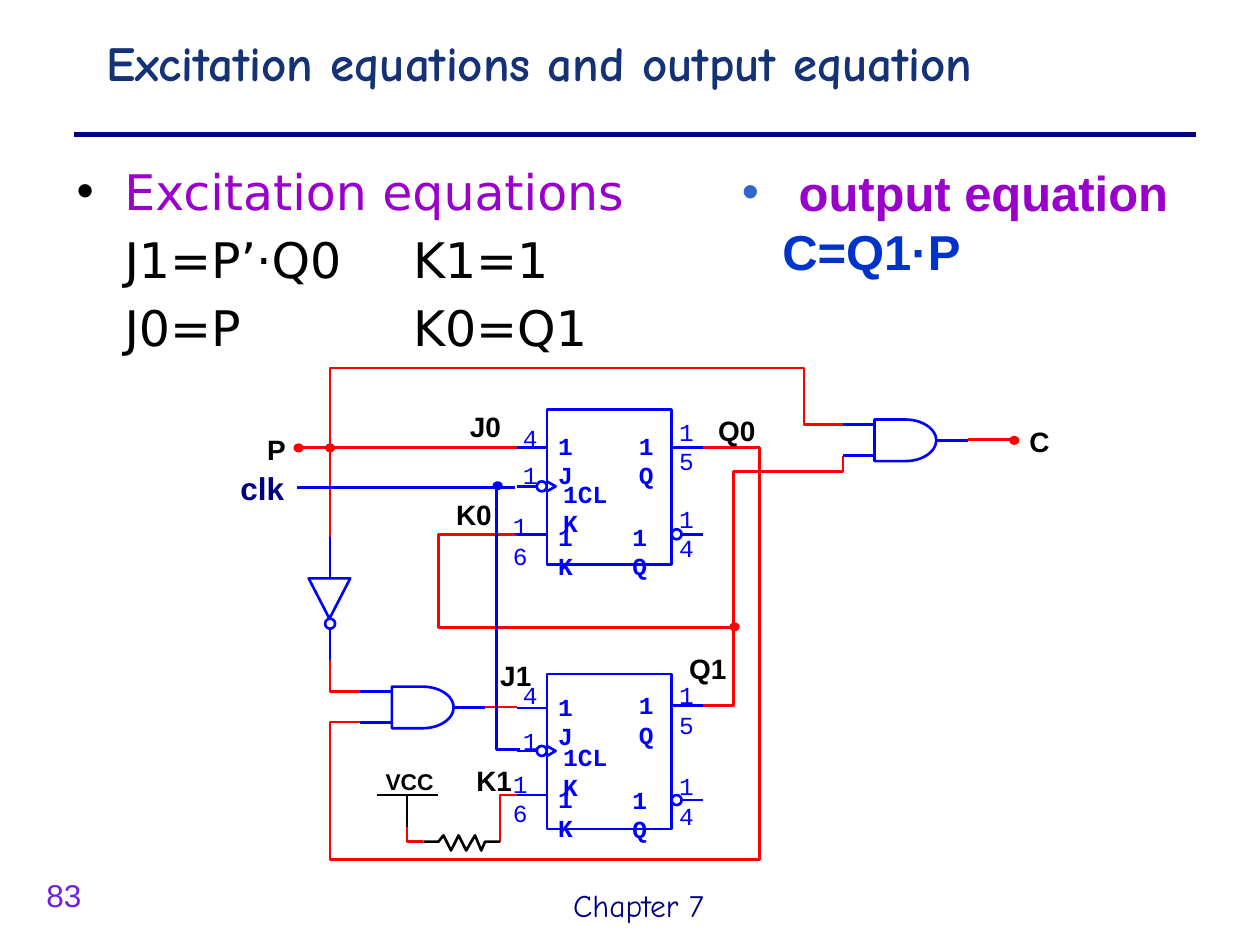
from typing import NamedTuple

from lxml import etree
from pptx import Presentation
from pptx.dml.color import RGBColor
from pptx.enum.shapes import MSO_CONNECTOR, MSO_SHAPE
from pptx.oxml.ns import qn
from pptx.util import Inches, Pt

RECT, OVAL = MSO_SHAPE.RECTANGLE, MSO_SHAPE.OVAL
DELAY, MERGE = MSO_SHAPE.FLOWCHART_DELAY, MSO_SHAPE.FLOWCHART_MERGE
STRAIGHT = MSO_CONNECTOR.STRAIGHT
RED, BLUE, CLOCK, NAVY = "FF0000", "0000FF", "0000F2", "000080"
BLACK, WHITE, PURPLE = "000000", "FFFFFF", "9900CC"

# The slide is a grid of 100 columns by 75 rows
COLS, ROWS = 100, 75
CELL = Inches(10) // COLS

deck = Presentation()
deck.slide_width, deck.slide_height = COLS * CELL, ROWS * CELL
slide = deck.slides.add_slide(deck.slide_layouts[6])
shapes = slide.shapes


class Label(NamedTuple):
    text: str
    col: float
    row: float
    wide: float


class Slot(NamedTuple):
    """Columns shared by one pin of every flip-flop."""
    name: str
    num: str
    name_col: float
    num_col: float
    start: float
    end: float


class Pin(NamedTuple):
    """Rows of one pin: wire, name and number."""
    row: float
    name_row: float
    num_row: float


class Flip(NamedTuple):
    top: float
    pins: list[Pin]


def tint(code: str) -> RGBColor:
    return RGBColor.from_string(code)


def at(*cells: float) -> list[int]:
    return [round(c * CELL) for c in cells]


def write(para, text: str, size: float, face: str, color: str, bold=False):
    run = para.add_run()
    run.text = text
    look = {"size": Pt(size), "name": face, "bold": bold}
    for key, val in look.items():
        setattr(run.font, key, val)
    run.font.color.rgb = tint(color)


def frame(col, row, wide, high, wrap=True, inset=True):
    body = shapes.add_textbox(*at(col, row, wide, high)).text_frame
    body.word_wrap = wrap
    if not inset:
        for side in ("left", "right", "top", "bottom"):
            setattr(body, f"margin_{side}", 0)
    return body


def note(lab: Label, high, size, face, color, bold=False, wrap=True, inset=True):
    body = frame(lab.col, lab.row, lab.wide, high, wrap, inset)
    write(body.paragraphs[0], lab.text, size, face, color, bold)


def indent(para, left: float, first=0.0, bullet=""):
    """Set margins in inches, and a bullet of the given colour."""
    props = para._p.get_or_add_pPr()
    props.set("marL", str(Inches(left)))
    props.set("indent", str(Inches(first)))
    if bullet:
        shade = etree.SubElement(props, qn("a:buClr"))
        etree.SubElement(shade, qn("a:srgbClr"), val=bullet)
        etree.SubElement(props, qn("a:buFont"), typeface="Arial")
        etree.SubElement(props, qn("a:buChar"), char="•")


def style(item, color: str, fill=""):
    item.shadow.inherit = False
    item.line.color.rgb, item.line.width = tint(color), Pt(1.5)
    if fill:
        item.fill.solid()
        item.fill.fore_color.rgb = tint(fill)
    else:
        item.fill.background()


def block(kind, col, row, wide, high, color=BLUE, fill=""):
    item = shapes.add_shape(kind, *at(col, row, wide, high))
    style(item, color, fill)
    return item


def dot(col: float, row: float, color=RED):
    block(OVAL, col - 0.3, row - 0.25, 0.6, 0.5, color, color)


def wire(color: str, *pts: tuple[float, float], width=1.5):
    """Draw a straight connector, or an open outline through more points."""
    if len(pts) > 2:
        start, *rest = [at(*pt) for pt in pts]
        pen = shapes.build_freeform(*start)
        pen.add_line_segments(rest, close=False)
        item = pen.convert_to_shape()
        style(item, color)
        return item
    item = shapes.add_connector(STRAIGHT, *at(*pts[0], *pts[1]))
    item.line.color.rgb, item.line.width = tint(color), Pt(width)
    etree.SubElement(item._element.spPr, qn("a:effectLst"))
    return item


def gate(col: float, row: float):
    """AND gate with two inputs and one output."""
    body = block(DELAY, col, row, 4.9, 3.3)
    for lead in (0.4, 2.85):
        wire(BLUE, (col, row + lead), (col - 2.5, row + lead))
    out = wire(BLUE, (col + 4.9, row + 1.65), (col + 7.4, row + 1.65))
    out.begin_connect(body, 3)


SLOTS = [
    Slot("1J", "4", 44.3, 41.5, 43.4, 41),
    Slot("1CLK", "1", 44.7, 41.5, 42.6, 41),
    Slot("1K", "16", 44.3, 40.7, 43.4, 41),
    Slot("1Q", "15", 50.7, 53.9, 53.3, 55.8),
    Slot("1Q", "14", 50.2, 53.9, 53.3, 55.8),
]
FLIPS = [
    Flip(32.5, [Pin(35.5, 34.2, 33.6), Pin(38.6, 38, 36.5), Pin(42.4, 41.4, 40.6),
                Pin(35.5, 34.2, 33.1), Pin(42.4, 41.4, 40)]),
    Flip(53.5, [Pin(56.2, 54.9, 54), Pin(59.6, 58.9, 57.6), Pin(63.1, 62.2, 61),
                Pin(56, 54.8, 54), Pin(63.5, 62.3, 61.2)]),
]


def draw(flip: Flip):
    block(RECT, 43.4, flip.top, 9.9, 12.3)
    for slot, pin in zip(SLOTS, flip.pins):
        wire(BLUE, (slot.start, pin.row), (slot.end, pin.row))
        for text, col, row, bold in ((slot.name, slot.name_col, pin.name_row, True),
                                     (slot.num, slot.num_col, pin.num_row, False)):
            wide = 1.15 * len(text) if len(text) > 1 else 1.2
            note(Label(text, col, row, wide), 2.3, 14, "Courier New", BLUE, bold, inset=False)
    # Clock bubble and edge mark, then the inverted output
    clk, low = flip.pins[1].row, flip.pins[4].row
    block(OVAL, 42.6, clk - 0.4, 0.8, 0.8)
    wire(BLUE, (43.4, clk - 0.4), (44.1, clk), (43.4, clk + 0.4))
    block(OVAL, 53.3, low - 0.4, 0.8, 0.8, BLUE, WHITE)


# Heading, rule and footer
wire(NAVY, (5.9, 10.7), (94.9, 10.7), width=3)
note(Label("Excitation equations and output equation", 7.5, 2.1, 87.4), 7.9, 28, "Comic Neue", "153276", True)
note(Label("Chapter 7", 44.5, 69.8, 14.2), 4, 18, "Comic Neue", NAVY)
note(Label("83", 2.7, 69, 7.1), 4, 18, "Arial", "6F20E4")

# Excitation equations: a heading over a column for J and one for K
body = frame(5.1, 12.3, 52, 5.4)
indent(body.paragraphs[0], 0.38, -0.38, BLACK)
write(body.paragraphs[0], "Excitation equations", 28, "DejaVu Sans", PURPLE)
for col, wide, pair in ((8.9, 21, ("J1=P’·Q0", "J0=P")), (31.8, 18, ("K1=1", "K0=Q1"))):
    for step, text in enumerate(pair):
        note(Label(text, col, 17.7 + 5.4 * step, wide), 5.4, 28, "DejaVu Sans", BLACK)

# Output equation
body = frame(57.9, 12.4, 36.9, 10.3)
para = body.paragraphs[0]
indent(para, 0.45, -0.45, "3366CC")
write(para, "output equation", 28, "Arial", PURPLE, True)
para = body.add_paragraph()
indent(para, 0.32)
write(para, "C=Q1·P", 28, "Arial", "0033CC", True)

# Red signal wires
wire(RED, (41, 35.5), (23.7, 35.5))
wire(RED, (26.2, 43), (26.2, 29.2), (63.8, 29.2), (63.8, 33.7), (67.3, 33.7))
wire(RED, (38.5, 56.1), (41, 56.1))
wire(RED, (28.6, 54.9), (26.2, 54.9), (26.2, 52.4))
wire(RED, (55.5, 35.5), (60.3, 35.5), (60.3, 68.2), (26.2, 68.2), (26.2, 57.3), (28.6, 57.3))
wire(RED, (33.6, 66.8), (32.3, 66.8), (32.3, 65.6))
wire(RED, (39.7, 66.8), (39.7, 63.1), (41, 63.1))
wire(RED, (41, 42.4), (34.8, 42.4), (34.8, 49.8), (58.2, 49.8))
wire(RED, (55.8, 56), (58.2, 56), (58.2, 37.4), (66.9, 37.4), (66.9, 36.2))
wire(RED, (76.8, 34.9), (80.5, 34.9))

# Flip-flops, gates and inverter
for flip in FLIPS:
    draw(flip)
gate(31.1, 54.5)
gate(69.4, 33.3)
block(MERGE, 24.5, 45.9, 3.3, 3.2)
block(OVAL, 25.8, 49.1, 0.8, 0.8)
wire(BLUE, (26.2, 42.6), (26.2, 45.9))
wire(BLUE, (26.2, 50), (26.2, 52.4))

# Supply and resistor
wire(BLACK, (29.9, 63.1), (34.8, 63.1))
wire(BLACK, (32.3, 63.1), (32.3, 65.6))
wire(BLACK, (33.6, 66.8), (34.8, 66.8), (35.2, 66.3), (35.8, 67.5), (36.4, 66.3),
     (37, 67.5), (37.7, 66.3), (38.2, 67.5), (38.5, 66.8), (39.7, 66.8))
note(Label("VCC", 30.6, 60.9, 3.8), 2.2, 13, "Arial", BLACK, True, False, False)

# Clock line
wire(CLOCK, (41.3, 59.5), (39.4, 59.5), (39.4, 38.7))
wire(CLOCK, (40.9, 38.7), (23.6, 38.7))
note(Label("clk", 18.1, 36.7, 6.7), 4, 18, "Arial", NAVY, True)

# Junctions and signal names
for col, row in ((23.7, 35.55), (26.2, 35.55), (80.5, 34.95), (58.3, 49.75)):
    dot(col, row)
dot(39.5, 38.55, CLOCK)
for lab in (Label("P", 21.2, 34.3, 1.7), Label("J0", 37.3, 32.5, 3.2),
            Label("K0", 36.2, 39.5, 3.2), Label("J1", 39.7, 52.3, 3.2),
            Label("K1", 37.8, 60.6, 3.2), Label("Q0", 57, 32.8, 3.2),
            Label("Q1", 54.7, 51.7, 3.2), Label("C", 81.7, 33.7, 1.7)):
    note(lab, 2.7, 16, "Arial", BLACK, True, True, False)

deck.save("out.pptx")
